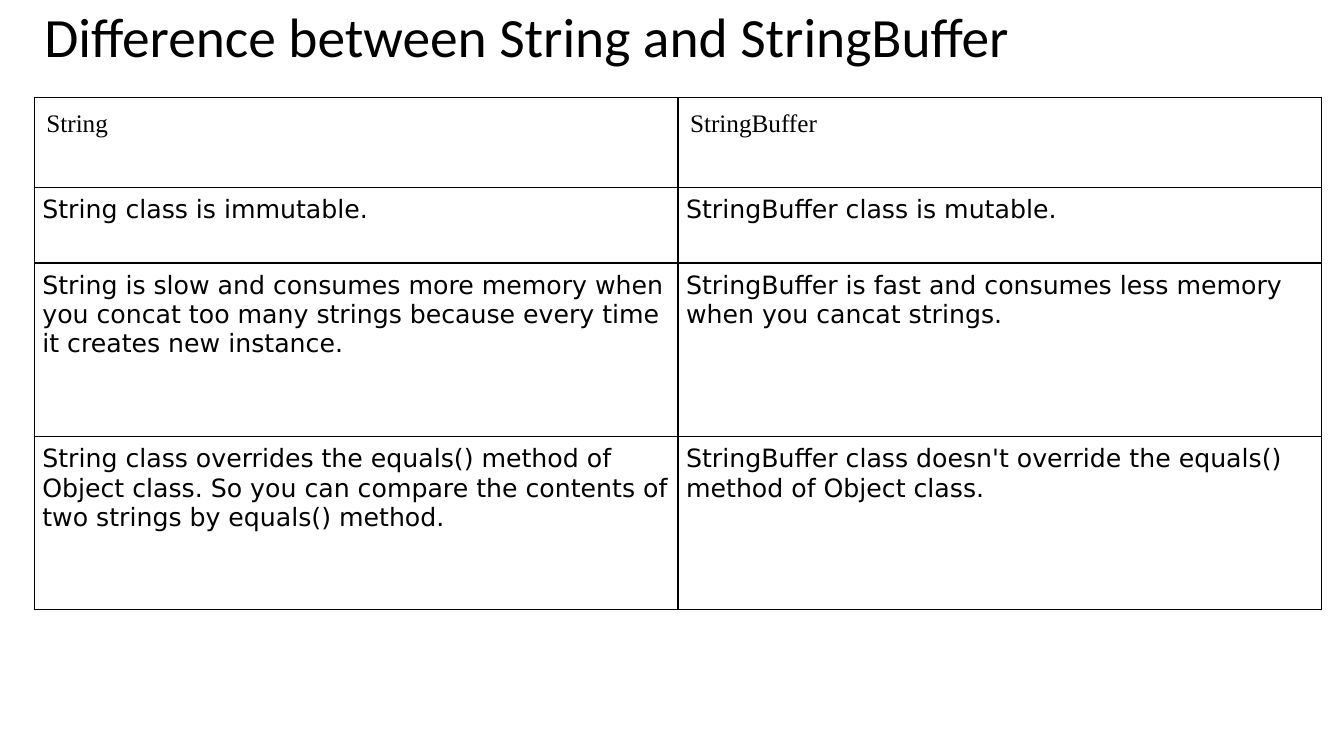
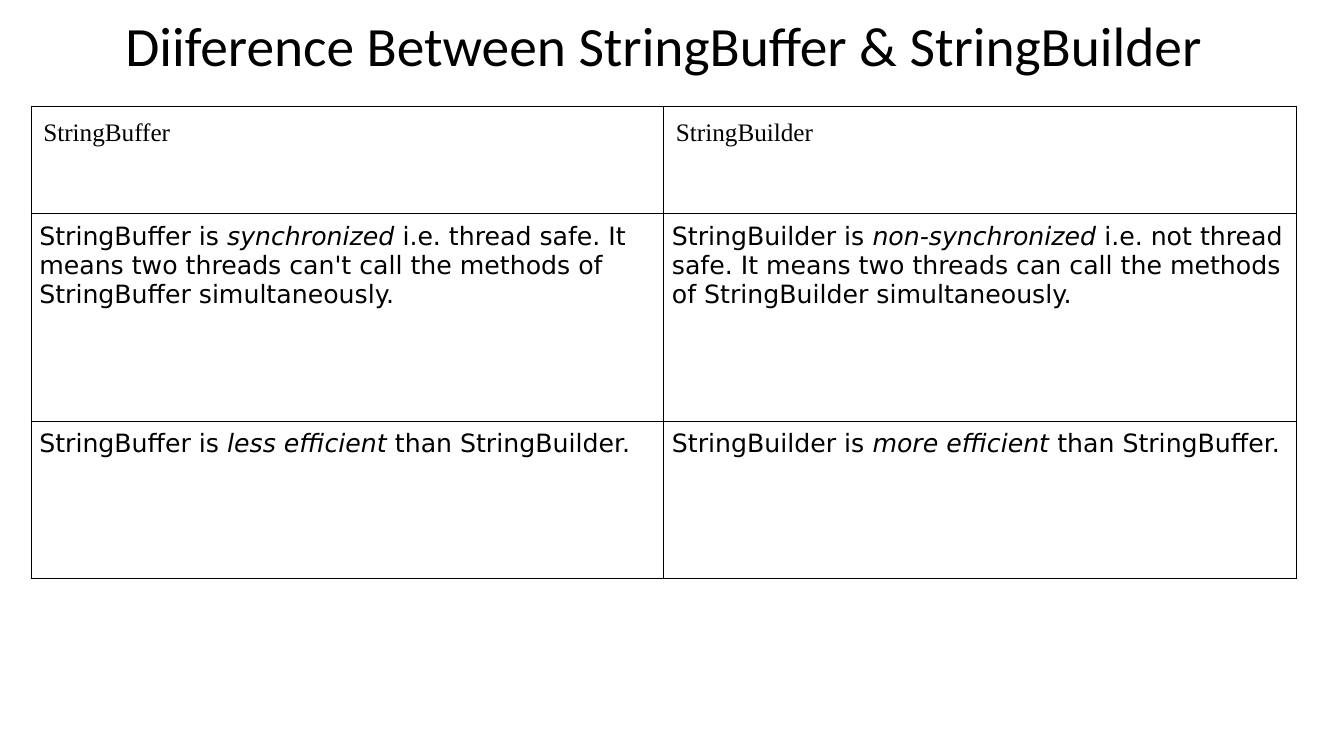
from dataclasses import dataclass

from lxml import etree
from pptx import Presentation
from pptx.dml.color import RGBColor
from pptx.enum.text import MSO_ANCHOR, MSO_AUTO_SIZE, PP_ALIGN
from pptx.oxml.ns import qn
from pptx.util import Inches, Pt

LEFT, CENTER = PP_ALIGN.LEFT, PP_ALIGN.CENTER
TOP, MIDDLE = MSO_ANCHOR.TOP, MSO_ANCHOR.MIDDLE
NO_AUTOFIT = MSO_AUTO_SIZE.NONE
TITLE_ONLY_LAYOUT = 5


@dataclass(frozen=True)
class Theme:
    ink: str = "000000"
    paper: str = "FFFFFF"
    title_font: str = "Calibri"
    header_font: str = "Times New Roman"
    body_font: str = "DejaVu Sans"
    title_size: float = 39.6
    table_size: float = 18
    border_width: float = 1
    header_inset: float = 0.12
    body_inset: float = 0.08


THEME = Theme()

STRING_ROWS = [
    ("String", "StringBuffer"),
    ("String class is immutable.", "StringBuffer class is mutable."),
    ("String is slow and consumes more memory when you concat too many strings "
     "because every time it creates new instance.",
     "StringBuffer is fast and consumes less memory when you cancat strings."),
    ("String class overrides the equals() method of Object class. So you can "
     "compare the contents of two strings by equals() method.",
     "StringBuffer class doesn't override the equals() method of Object class."),
]
BUILDER_ROWS = [
    ("StringBuffer", "StringBuilder"),
    ("StringBuffer is *synchronized* i.e. thread safe. It means two threads "
     "can't call the methods of StringBuffer simultaneously.",
     "StringBuilder is *non-synchronized* i.e. not thread safe. It means two "
     "threads can call the methods of StringBuilder simultaneously."),
    ("StringBuffer is *less efficient* than StringBuilder.",
     "StringBuilder is *more efficient* than StringBuffer."),
]


def write_text(frame, text, *, font, size, align=LEFT, line_spacing=1.0):
    """Fill a text frame; words between asterisks become italic."""
    paragraph = frame.paragraphs[0]
    paragraph.alignment = align
    paragraph.line_spacing = line_spacing
    for index, part in enumerate(text.split("*")):
        run = paragraph.add_run()
        run.text = part
        run.font.name = font
        run.font.size = Pt(size)
        run.font.bold = False
        run.font.italic = index % 2 == 1
        run.font.color.rgb = RGBColor.from_string(THEME.ink)


def add_title(slide, text, left, top, width, height, align):
    title = slide.shapes.title
    title.left, title.top = Inches(left), Inches(top)
    title.width, title.height = Inches(width), Inches(height)
    frame = title.text_frame
    frame.word_wrap = True
    frame.auto_size = NO_AUTOFIT
    frame.vertical_anchor = MIDDLE
    write_text(frame, text, font=THEME.title_font, size=THEME.title_size,
               align=align, line_spacing=0.9)


def add_borders(cell):
    properties = cell._tc.get_or_add_tcPr()
    for side in ("lnL", "lnR", "lnT", "lnB"):
        line = etree.SubElement(properties, qn(f"a:{side}"),
                                w=str(Pt(THEME.border_width)))
        fill = etree.SubElement(line, qn("a:solidFill"))
        etree.SubElement(fill, qn("a:srgbClr"), val=THEME.ink)


def format_cell(cell, text, is_header):
    inset = Inches(THEME.header_inset if is_header else THEME.body_inset)
    cell.margin_left = cell.margin_right = inset
    cell.margin_top = cell.margin_bottom = inset
    cell.vertical_anchor = TOP
    add_borders(cell)
    cell.fill.solid()
    cell.fill.fore_color.rgb = RGBColor.from_string(THEME.paper)
    write_text(cell.text_frame, text, size=THEME.table_size,
               font=THEME.header_font if is_header else THEME.body_font)


def add_comparison_table(slide, rows, left, top, width, row_heights):
    column_count = len(rows[0])
    table = slide.shapes.add_table(
        len(rows), column_count, Inches(left), Inches(top),
        Inches(width), Inches(sum(row_heights))).table
    table.first_row = table.horz_banding = False
    for column in table.columns:
        column.width = Inches(width / column_count)
    for row_index, (texts, height) in enumerate(zip(rows, row_heights)):
        table.rows[row_index].height = Inches(height)
        for column_index, text in enumerate(texts):
            format_cell(table.cell(row_index, column_index), text,
                        is_header=row_index == 0)


def add_comparison_slide(presentation, title, rows, *, left, width, title_top,
                         title_height, title_align, table_top, row_heights):
    slide = presentation.slides.add_slide(
        presentation.slide_layouts[TITLE_ONLY_LAYOUT])
    add_title(slide, title, left, title_top, width, title_height, title_align)
    add_comparison_table(slide, rows, left, table_top, width, row_heights)


def main():
    presentation = Presentation()
    presentation.slide_width = Inches(13.33)
    presentation.slide_height = Inches(7.5)
    add_comparison_slide(
        presentation, "Difference between String and StringBuffer", STRING_ROWS,
        left=0.34, width=12.77, title_top=0.15, title_height=0.48,
        title_align=LEFT, table_top=0.97, row_heights=(0.89, 0.75, 1.72, 1.72))
    add_comparison_slide(
        presentation, "Diiference Between StringBuffer & StringBuilder",
        BUILDER_ROWS, left=0.31, width=12.55, title_top=0.17,
        title_height=0.62, title_align=CENTER, table_top=1.06,
        row_heights=(1.06, 2.06, 1.56))
    presentation.save("out.pptx")


if __name__ == "__main__":
    main()
